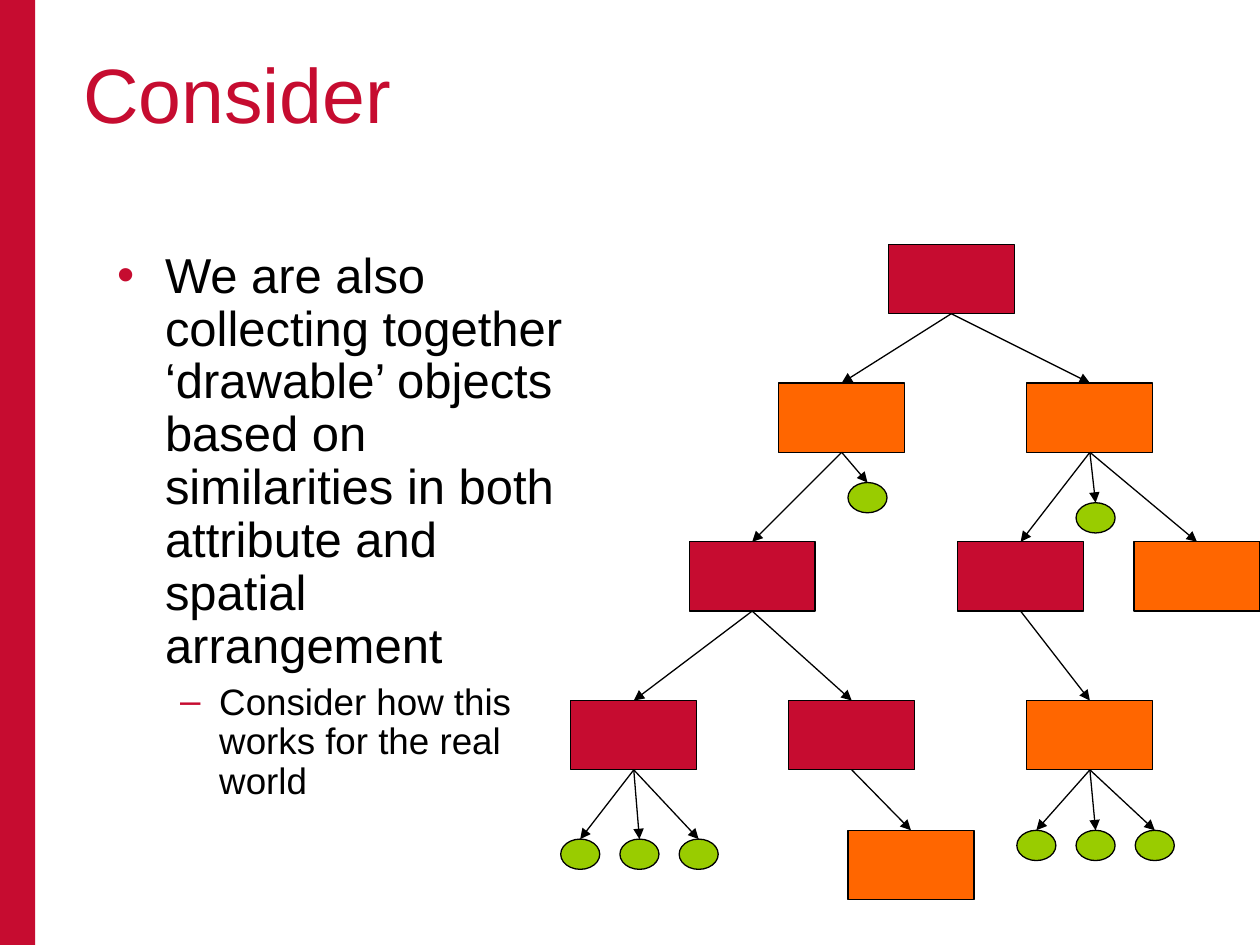
from lxml.etree import SubElement
from pptx import Presentation
from pptx.dml.color import RGBColor
from pptx.enum.shapes import MSO_CONNECTOR, MSO_SHAPE
from pptx.enum.text import MSO_ANCHOR, MSO_AUTO_SIZE, PP_ALIGN
from pptx.oxml.ns import qn
from pptx.util import Inches, Pt

CRIMSON = RGBColor(0xC6, 0x0C, 0x30)
ORANGE = RGBColor(0xFF, 0x66, 0x00)
GREEN = RGBColor(0x99, 0xCC, 0x00)
BLACK = RGBColor(0x00, 0x00, 0x00)


def write(paragraph, text, size, color, bullet=None, level=0, indent=0, hang=0, before=0):
    run = paragraph.add_run()
    run.text = text
    run.font.name = "Arial"
    run.font.size = Pt(size)
    run.font.color.rgb = color
    paragraph.alignment = PP_ALIGN.LEFT
    paragraph.level = level
    paragraph.space_before = Pt(before)
    if bullet:
        paragraph.line_spacing = 0.9
        properties = paragraph._p.get_or_add_pPr()
        properties.set("marL", str(Inches(indent)))
        properties.set("indent", str(-Inches(hang)))
        bullet_color = SubElement(properties, qn("a:buClr"))
        SubElement(bullet_color, qn("a:srgbClr"), val=str(CRIMSON))
        SubElement(properties, qn("a:buFont"), typeface="Arial")
        SubElement(properties, qn("a:buChar"), char=bullet)


def add_solid(shapes, preset, left, top, width, height, color):
    solid = shapes.add_shape(preset, Inches(left), Inches(top), Inches(width), Inches(height))
    solid.shadow.inherit = False
    solid.fill.solid()
    solid.fill.fore_color.rgb = color
    return solid


presentation = Presentation()
presentation.slide_width = Inches(10)
presentation.slide_height = Inches(7.5)
slide = presentation.slides.add_slide(presentation.slide_layouts[1])
shapes = slide.shapes

side_band = add_solid(shapes, MSO_SHAPE.RECTANGLE, 0, 0, 0.28, 7.5, CRIMSON)
side_band.line.fill.background()

heading = shapes.title
points = slide.placeholders[1]
for holder, left, top, width, height in [
    (heading, 0.56, 0.32, 8.94, 1.61),
    (points, 0.83, 1.94, 3.91, 4.5),
]:
    holder.left, holder.top = Inches(left), Inches(top)
    holder.width, holder.height = Inches(width), Inches(height)
    holder.text_frame.word_wrap = True
    holder.text_frame.auto_size = MSO_AUTO_SIZE.NONE
    holder.text_frame.vertical_anchor = MSO_ANCHOR.TOP

write(heading.text_frame.paragraphs[0], "Consider", size=44, color=CRIMSON)
write(
    points.text_frame.paragraphs[0],
    "We are also collecting together ‘drawable’ objects based on "
    "similarities in both attribute and spatial arrangement",
    size=28, color=BLACK, bullet="•", indent=0.38, hang=0.38, before=7,
)
write(
    points.text_frame.add_paragraph(),
    "Consider how this works for the real world",
    size=21, color=BLACK, bullet="–", level=1, indent=0.81, hang=0.31, before=5.2,
)

tree = [
    ("root", None, 7.05, 1.94, CRIMSON),
    ("left", "root", 6.18, 3.04, ORANGE),
    ("right", "root", 8.15, 3.04, ORANGE),
    ("left group", "left", 5.47, 4.3, CRIMSON),
    ("right group", "right", 7.6, 4.3, CRIMSON),
    ("right end", "right", 9, 4.3, ORANGE),
    ("outer group", "left group", 4.53, 5.56, CRIMSON),
    ("inner group", "left group", 6.26, 5.56, CRIMSON),
    ("right lower", "right group", 8.15, 5.56, ORANGE),
    ("inner end", "inner group", 6.73, 6.59, ORANGE),
    ("left leaf", "left", 6.73, 3.83, GREEN),
    ("right leaf", "right", 8.54, 3.99, GREEN),
]
for parent, first_left, top in [("outer group", 4.45, 6.66), ("right lower", 8.07, 6.59)]:
    for column in range(3):
        tree.append((f"{parent} leaf {column}", parent, first_left + 0.47 * column, top, GREEN))

nodes = {}
for name, parent, left, top, color in tree:
    if color == GREEN:
        node = add_solid(shapes, MSO_SHAPE.OVAL, left, top, 0.31, 0.24, color)
    else:
        node = add_solid(shapes, MSO_SHAPE.RECTANGLE, left, top, 1, 0.55, color)
    node.line.color.rgb = BLACK
    node.line.width = Pt(0.75)
    nodes[name] = node

for name, parent, *_ in tree:
    if parent:
        branch = shapes.add_connector(MSO_CONNECTOR.STRAIGHT, 0, 0, 0, 0)
        branch.begin_connect(nodes[parent], 2)
        branch.end_connect(nodes[name], 0)
        branch.line.color.rgb = BLACK
        branch.line.width = Pt(0.75)
        SubElement(branch.line._get_or_add_ln(), qn("a:tailEnd"), type="triangle")
        SubElement(branch._element.spPr, qn("a:effectLst"))

presentation.save("out.pptx")
